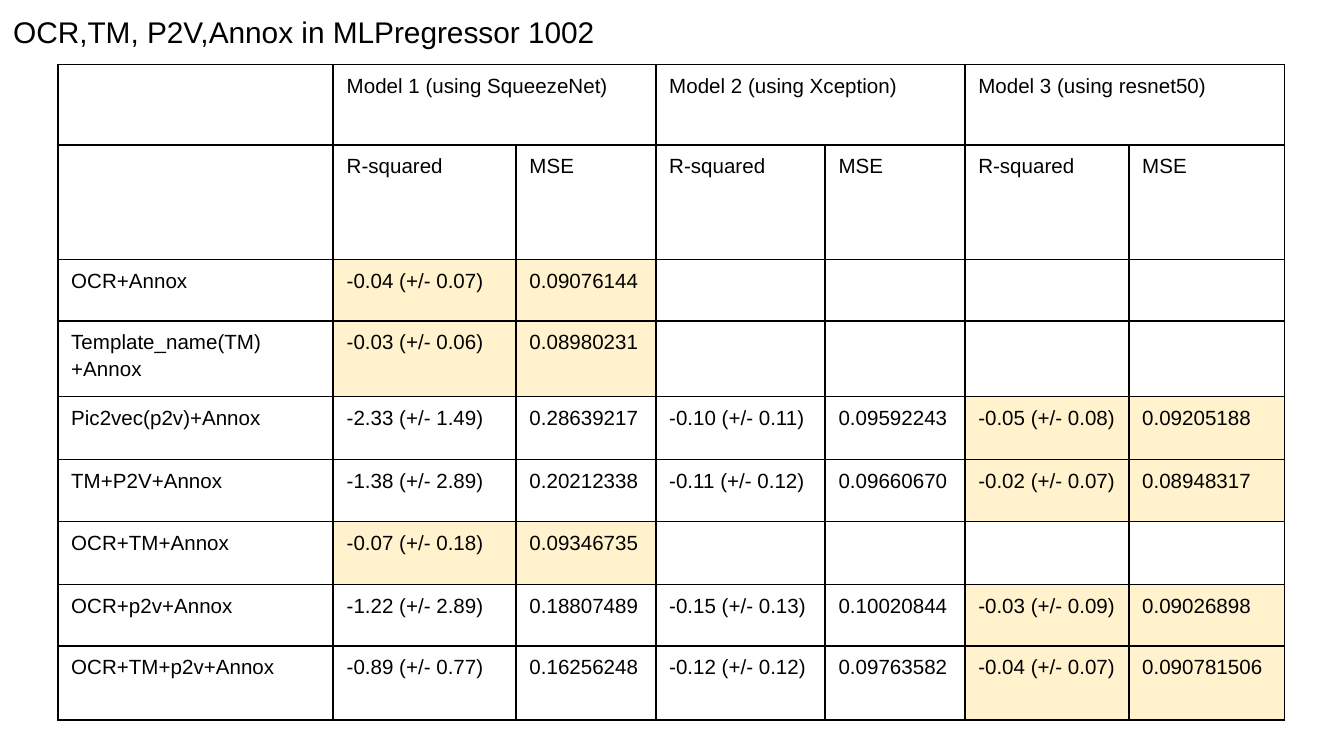
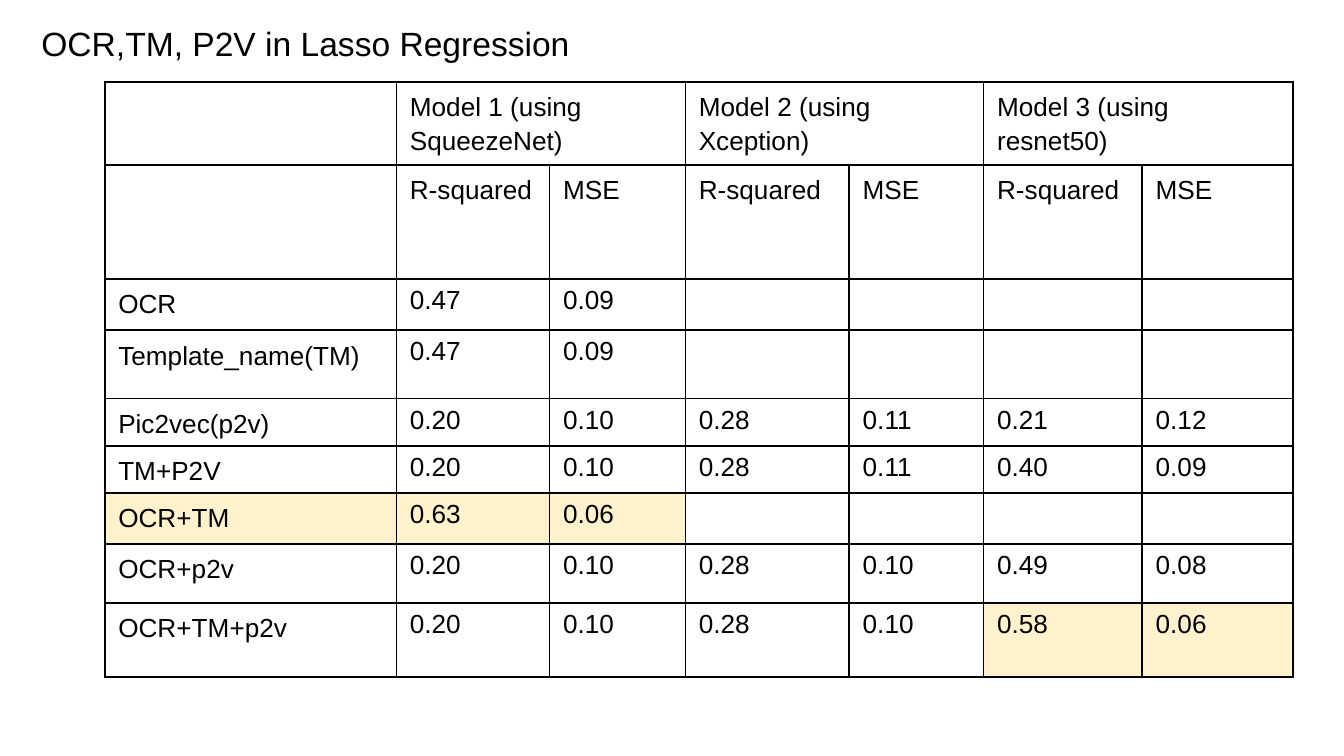
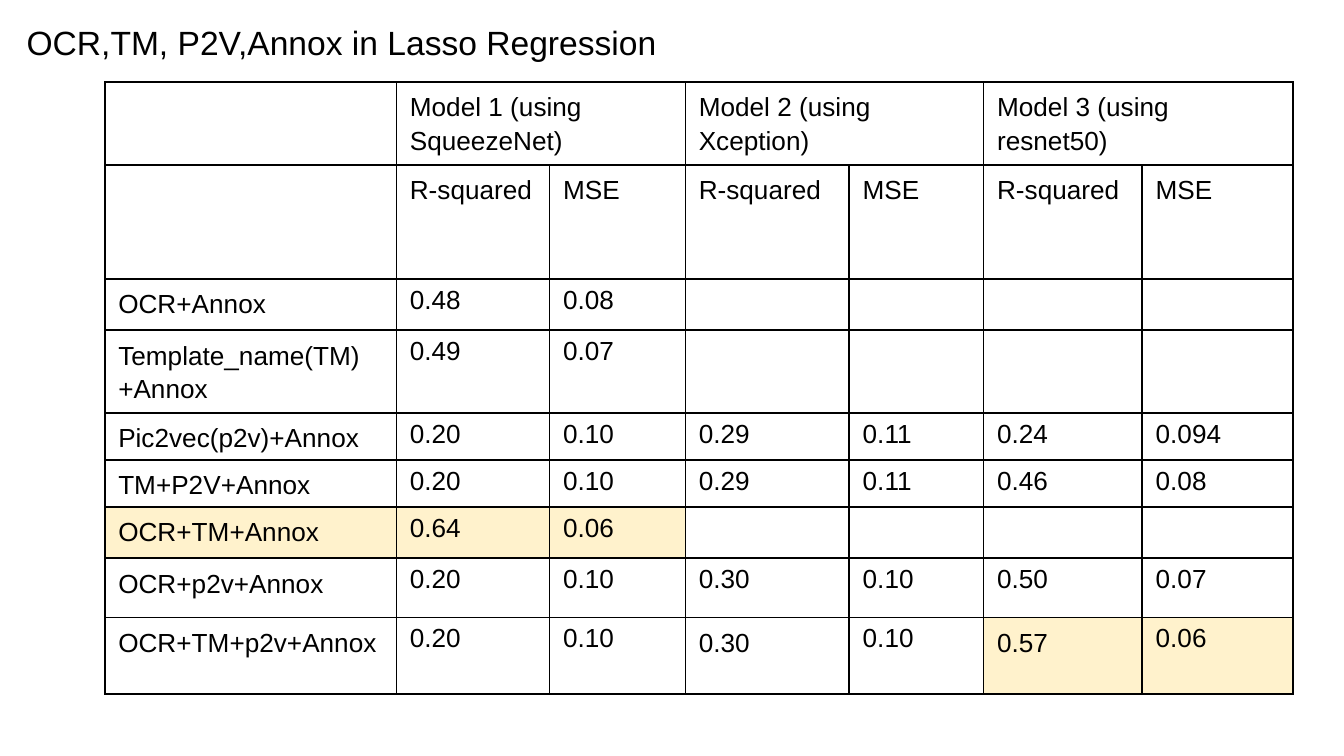
import lxml.etree
import pptx
import pptx.dml.color
import pptx.oxml.ns
import pptx.util

Inches = pptx.util.Inches
COLORS = {"text": "000000", "border": "000000", "plain": "FFFFFF", "highlight": "FFF2CC"}
FONT = "Arial"

# Shared table content
MODELS = ["Model 1 (using SqueezeNet)", "Model 2 (using Xception)", "Model 3 (using resnet50)"]
HEADER_ROWS = [
    [""] + [text for model in MODELS for text in (model, "")],
    [""] + ["R-squared", "MSE"] * len(MODELS),
]
FEATURES = ["OCR", "Template_name(TM)", "Pic2vec(p2v)", "TM+P2V", "OCR+TM", "OCR+p2v", "OCR+TM+p2v"]
LASSO_COLUMNS = [2.17, 1.14, 1.01, 1.22, 1, 1.18, 1.12]
LASSO_HIGHLIGHTS = {(6, 0), (6, 1), (6, 2), (8, 5), (8, 6)}

# Each slide; the results follow the order of FEATURES, highlights are (row, column)
SLIDES = [
    {
        "title": "OCR,TM, P2V,Annox in MLPregressor 1002",
        "title_box": (0, 0, 5.54, 0.48), "title_size": 16,
        "table_at": (0.43, 0.48), "text_size": 11, "suffix": "+Annox",
        "columns": [2.05, 1.36, 1.04, 1.26, 1.04, 1.22, 1.16],
        "rows": [0.6, 0.85, 0.46, 0.56, 0.47, 0.46, 0.47, 0.46, 0.55],
        "results": [
            ["-0.04 (+/- 0.07)", "0.09076144"],
            ["-0.03 (+/- 0.06)", "0.08980231"],
            ["-2.33 (+/- 1.49)", "0.28639217", "-0.10 (+/- 0.11)", "0.09592243", "-0.05 (+/- 0.08)", "0.09205188"],
            ["-1.38 (+/- 2.89)", "0.20212338", "-0.11 (+/- 0.12)", "0.09660670", "-0.02 (+/- 0.07)", "0.08948317"],
            ["-0.07 (+/- 0.18)", "0.09346735"],
            ["-1.22 (+/- 2.89)", "0.18807489", "-0.15 (+/- 0.13)", "0.10020844", "-0.03 (+/- 0.09)", "0.09026898"],
            ["-0.89 (+/- 0.77)", "0.16256248", "-0.12 (+/- 0.12)", "0.09763582", "-0.04 (+/- 0.07)", "0.090781506"],
        ],
        "highlights": {(row, column) for row in (2, 3, 6) for column in (1, 2)}
        | {(row, column) for row in (4, 5, 7, 8) for column in (5, 6)},
        "loose_cells": {(row, column) for row in range(2, 9) for column in range(1, 7)},
    },
    {
        "title": "OCR,TM, P2V in Lasso Regression",
        "title_box": (0.21, 0.07, 6.1, 0.53), "title_size": 18,
        "table_at": (0.78, 0.61), "text_size": 14, "suffix": "",
        "columns": LASSO_COLUMNS,
        "rows": [0.6, 0.85, 0.38, 0.51, 0.35, 0.35, 0.38, 0.44, 0.55],
        "results": [
            ["0.47", "0.09"],
            ["0.47", "0.09"],
            ["0.20", "0.10", "0.28", "0.11", "0.21", "0.12"],
            ["0.20", "0.10", "0.28", "0.11", "0.40", "0.09"],
            ["0.63", "0.06"],
            ["0.20", "0.10", "0.28", "0.10", "0.49", "0.08"],
            ["0.20", "0.10", "0.28", "0.10", "0.58", "0.06"],
        ],
        "highlights": LASSO_HIGHLIGHTS,
        "loose_cells": set(),
    },
    {
        "title": "OCR,TM, P2V,Annox in Lasso Regression",
        "title_box": (0.1, 0.06, 5.26, 0.55), "title_size": 18,
        "table_at": (0.78, 0.61), "text_size": 14, "suffix": "+Annox",
        "columns": LASSO_COLUMNS,
        "rows": [0.6, 0.85, 0.38, 0.6, 0.35, 0.35, 0.38, 0.44, 0.57],
        "results": [
            ["0.48", "0.08"],
            ["0.49", "0.07"],
            ["0.20", "0.10", "0.29", "0.11", "0.24", "0.094"],
            ["0.20", "0.10", "0.29", "0.11", "0.46", "0.08"],
            ["0.64", "0.06"],
            ["0.20", "0.10", "0.30", "0.10", "0.50", "0.07"],
            ["0.20", "0.10", "0.30", "0.10", "0.57", "0.06"],
        ],
        "highlights": LASSO_HIGHLIGHTS,
        "loose_cells": {(8, 3), (8, 5)},
    },
]


def write_text(text_frame, text, size):
    text_frame.text = text
    paragraph = text_frame.paragraphs[0]
    for run in paragraph.runs:
        run.font.name = FONT
        run.font.size = pptx.util.Pt(size)
        run.font.color.rgb = pptx.dml.color.RGBColor.from_string(COLORS["text"])
    return paragraph


def add_borders(cell):
    properties = cell._tc.get_or_add_tcPr()
    for side in ("lnL", "lnR", "lnT", "lnB"):
        line = lxml.etree.SubElement(properties, pptx.oxml.ns.qn("a:" + side), w=str(pptx.util.Pt(1)))
        fill = lxml.etree.SubElement(line, pptx.oxml.ns.qn("a:solidFill"))
        lxml.etree.SubElement(fill, pptx.oxml.ns.qn("a:srgbClr"), val=COLORS["border"])


# Widescreen 16:9
presentation = pptx.Presentation()
presentation.slide_width = Inches(10)
presentation.slide_height = Inches(10) * 9 // 16

for content in SLIDES:
    slide = presentation.slides.add_slide(presentation.slide_layouts[6])

    # Table grid
    left, top = content["table_at"]
    columns, rows = content["columns"], content["rows"]
    table = slide.shapes.add_table(
        len(rows), len(columns), Inches(left), Inches(top), Inches(sum(columns)), Inches(sum(rows))
    ).table
    table.first_row = False
    table.horz_banding = False
    for column, width in zip(table.columns, columns):
        column.width = Inches(width)
    for row, height in zip(table.rows, rows):
        row.height = Inches(height)
    for column_index in (1, 3, 5):
        table.cell(0, column_index).merge(table.cell(0, column_index + 1))

    # Table cells
    table_rows = HEADER_ROWS + [
        [feature + content["suffix"]] + results + [""] * (6 - len(results))
        for feature, results in zip(FEATURES, content["results"])
    ]
    for row_index, texts in enumerate(table_rows):
        for column_index, text in enumerate(texts):
            position = (row_index, column_index)
            cell = table.cell(*position)
            add_borders(cell)
            cell.margin_bottom = Inches(0.03)
            cell.fill.solid()
            fill_name = "highlight" if position in content["highlights"] else "plain"
            cell.fill.fore_color.rgb = pptx.dml.color.RGBColor.from_string(COLORS[fill_name])
            if text:
                paragraph = write_text(cell.text_frame, text, content["text_size"])
                if row_index < 2 or column_index == 0 or position in content["loose_cells"]:
                    paragraph.line_spacing = 1.15

    # Title
    title = slide.shapes.add_textbox(*map(Inches, content["title_box"]))
    text_frame = title.text_frame
    text_frame.word_wrap = True
    text_frame.margin_left = text_frame.margin_right = Inches(0.1)
    text_frame.margin_top = text_frame.margin_bottom = Inches(0.1)
    write_text(text_frame, content["title"], content["title_size"])

presentation.save("out.pptx")
